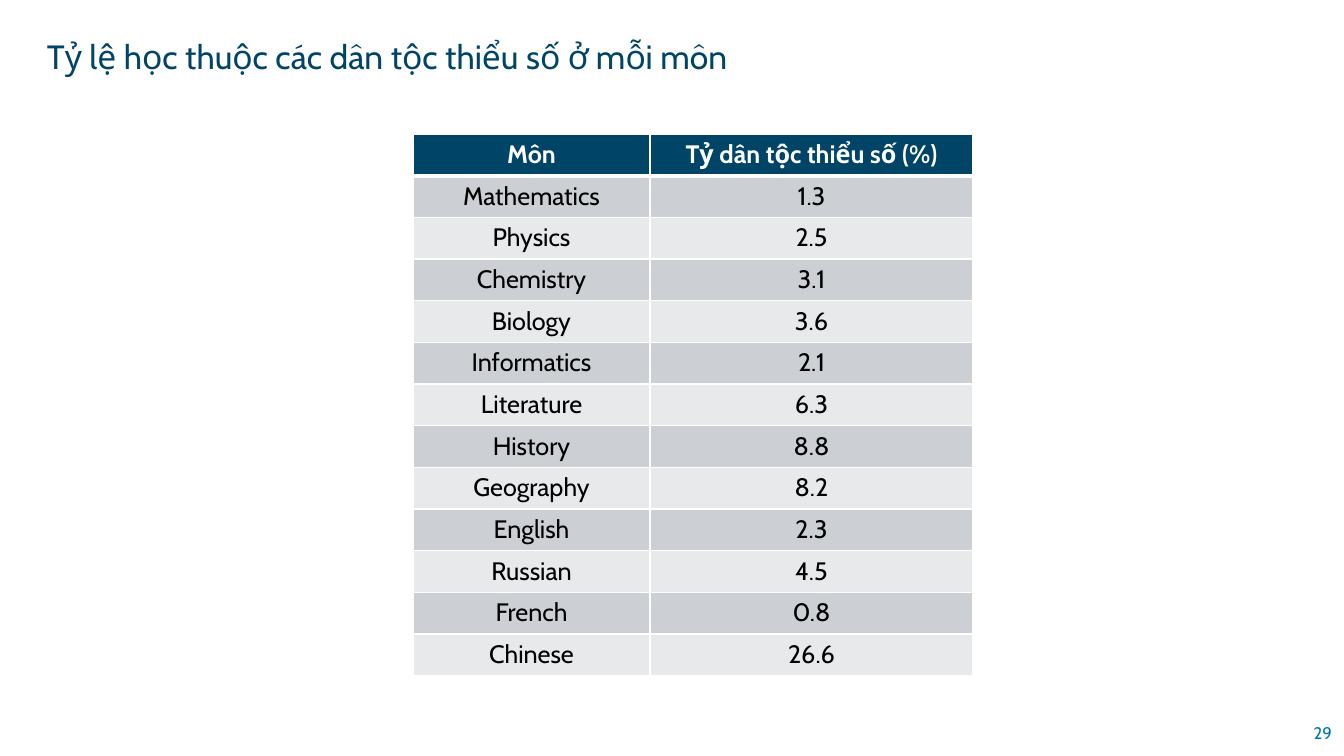
import pptx
import pptx.dml.color
import pptx.enum.text
import pptx.oxml
import pptx.oxml.ns
import pptx.util

TITLE = "Tỷ lệ học thuộc các dân tộc thiểu số ở mỗi môn"
PAGE = "29"
HEADER = ("Môn", "Tỷ dân tộc thiểu số (%)")
SUBJECTS = [
    ("Mathematics", "1.3"),
    ("Physics", "2.5"),
    ("Chemistry", "3.1"),
    ("Biology", "3.6"),
    ("Informatics", "2.1"),
    ("Literature", "6.3"),
    ("History", "8.8"),
    ("Geography", "8.2"),
    ("English", "2.3"),
    ("Russian", "4.5"),
    ("French", "0.8"),
    ("Chinese", "26.6"),
]
FONT = "Cabin"
NAVY, BLUE, WHITE, BLACK = "004568", "0074AF", "FFFFFF", "000000"
BANDS = ("E7E9EB", "CCCFD4")
TABLE_LEFT, TABLE_TOP, TABLE_HEIGHT = 413, 134, 542
COLUMN_WIDTHS = (237, 323)

ALIGN = pptx.enum.text.PP_ALIGN
ANCHOR = pptx.enum.text.MSO_ANCHOR
AUTO_SIZE = pptx.enum.text.MSO_AUTO_SIZE


def px(n):
    return pptx.util.Emu(round(n * 914400 / 100.8))


def rgb(color):
    return pptx.dml.color.RGBColor.from_string(color)


def write(tf, text, size, color, align, bold=False):
    p = tf.paragraphs[0]
    p.text = text
    p.alignment = align
    font = p.runs[0].font
    font.name = FONT
    font.size = pptx.util.Pt(size)
    font.bold = bold
    font.color.rgb = rgb(color)


def add_label(slide, box, text, size, color, align, anchor, auto_size):
    tf = slide.shapes.add_textbox(*map(px, box)).text_frame
    tf.word_wrap = False
    tf.auto_size = auto_size
    tf.vertical_anchor = anchor
    write(tf, text, size, color, align)


def add_border(cell, side, points):
    cell._tc.get_or_add_tcPr().append(pptx.oxml.parse_xml(
        f'<a:{side} {pptx.oxml.ns.nsdecls("a")} w="{pptx.util.Pt(points)}">'
        f'<a:solidFill><a:srgbClr val="{WHITE}"/></a:solidFill></a:{side}>'))


def add_subject_table(slide):
    rows = [HEADER] + SUBJECTS
    table = slide.shapes.add_table(
        len(rows), len(HEADER), px(TABLE_LEFT), px(TABLE_TOP),
        px(sum(COLUMN_WIDTHS)), px(TABLE_HEIGHT)).table
    for column, width in zip(table.columns, COLUMN_WIDTHS):
        column.width = px(width)
    for i, values in enumerate(rows):
        table.rows[i].height = px(TABLE_HEIGHT / len(rows))
        is_header = i == 0
        for j, value in enumerate(values):
            cell = table.cell(i, j)
            for side in ("lnL", "lnR", "lnT", "lnB"):
                thick = (side == "lnB" and i == 0) or (side == "lnT" and i == 1)
                add_border(cell, side, 3 if thick else 1)
            cell.fill.solid()
            cell.fill.fore_color.rgb = rgb(NAVY if is_header else BANDS[i % 2])
            write(cell.text_frame, value, 18, WHITE if is_header else BLACK,
                  ALIGN.CENTER, is_header)


def main():
    prs = pptx.Presentation()
    prs.slide_width, prs.slide_height = px(1344), px(756)
    slide = prs.slides.add_slide(prs.slide_layouts[6])
    add_label(slide, (1295, 713, 47, 40), PAGE, 12, BLUE,
              ALIGN.RIGHT, ANCHOR.MIDDLE, AUTO_SIZE.NONE)
    add_label(slide, (37, 31, 733, 50), TITLE, 24, NAVY,
              ALIGN.LEFT, ANCHOR.TOP, AUTO_SIZE.SHAPE_TO_FIT_TEXT)
    add_subject_table(slide)
    prs.save("out.pptx")


if __name__ == "__main__":
    main()
